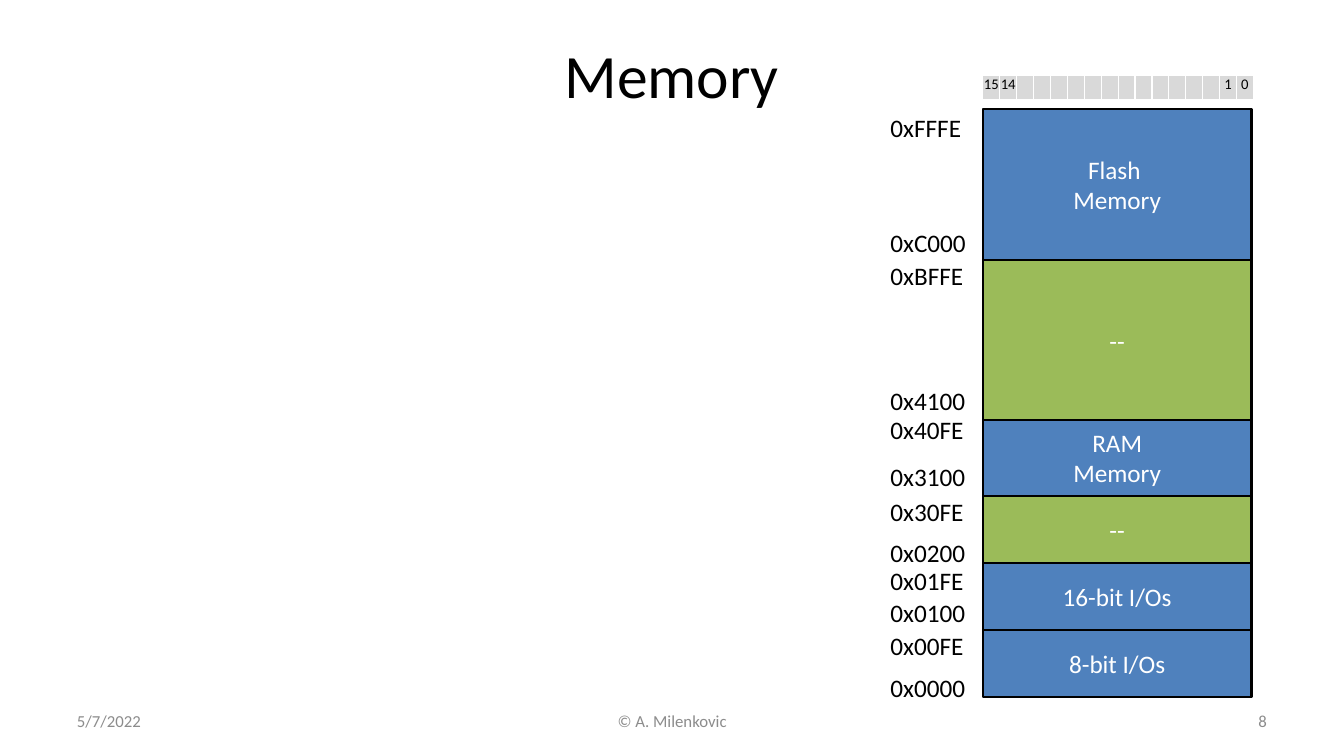
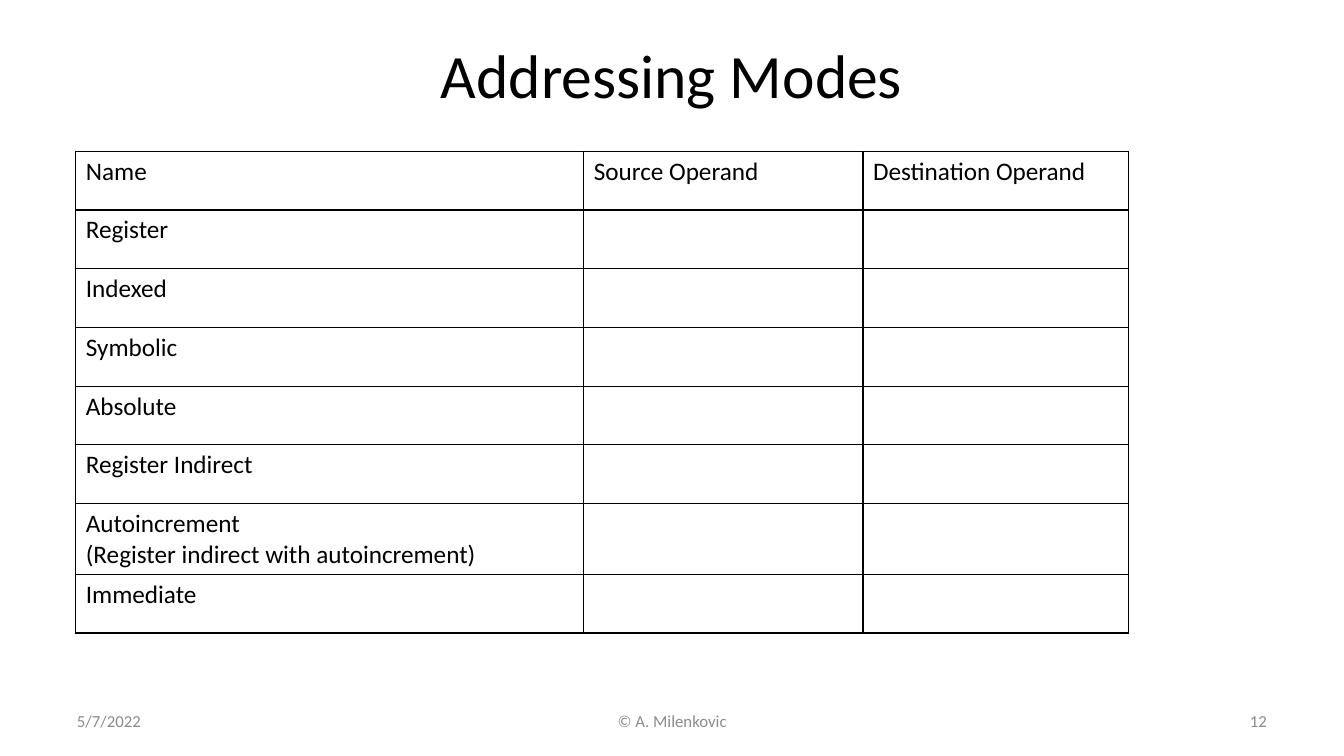
"""Build two lecture slides: a memory map and a table of addressing modes."""
from lxml.etree import SubElement
from pptx import Presentation
from pptx.dml.color import RGBColor
from pptx.enum.shapes import MSO_SHAPE as Shape
from pptx.enum.text import MSO_ANCHOR as Anchor, MSO_AUTO_SIZE as AutoSize, PP_ALIGN as Align
from pptx.oxml.ns import qn
from pptx.util import Cm, Pt

BLACK = RGBColor(0x00, 0x00, 0x00)
WHITE = RGBColor(0xFF, 0xFF, 0xFF)
GRAY = RGBColor(0x8C, 0x8C, 0x8C)
LIGHT = RGBColor(0xD9, 0xD9, 0xD9)
BLUE = RGBColor(0x4F, 0x81, 0xBD)
GREEN = RGBColor(0x9B, 0xBB, 0x59)


def write(frame, text, size=18, color=BLACK, align=Align.LEFT, anchor=Anchor.TOP, inset=None):
    """Put formatted text into a text frame."""
    frame.word_wrap = True
    frame.vertical_anchor = anchor
    if inset is not None:
        frame.margin_left = frame.margin_right = inset
        frame.margin_top = frame.margin_bottom = inset
    para = frame.paragraphs[0]
    para.text = text
    para.alignment = align
    for span in para.runs:
        span.font.name = "Calibri"
        span.font.size = Pt(size)
        span.font.color.rgb = color
    if not text:
        SubElement(para._p, qn("a:endParaRPr"), sz=str(int(size * 100)))


def set_borders(cell, color, width, bottom):
    """Draw the four borders of a table cell beneath its fill."""
    props = cell._tc.get_or_add_tcPr()
    for index, side in enumerate(("lnL", "lnR", "lnT", "lnB")):
        points = bottom if side == "lnB" else width
        line = SubElement(props, qn(f"a:{side}"), w=str(Pt(points)))
        paint = SubElement(line, qn("a:solidFill"))
        SubElement(paint, qn("a:srgbClr"), val=str(color))
        props.insert(index, line)


deck = Presentation()
deck.slide_width, deck.slide_height = Cm(33.87), Cm(19.05)
layout = deck.slide_layouts.get_by_name("Title Only")
heading = layout.placeholders[0]
heading.left, heading.top, heading.width, heading.height = Cm(1.69), Cm(0.76), Cm(30.48), Cm(2.22)

pages = []
for title, number in (("Memory", "8"), ("Addressing Modes", "12")):
    page = deck.slides.add_slide(layout)
    pages.append(page)
    write(page.shapes.title.text_frame, title, size=44, align=Align.CENTER, anchor=Anchor.MIDDLE)
    for text, left, width, align in (
        ("5/7/2022", 1.69, 7.9, Align.LEFT),
        ("© A. Milenkovic", 11.58, 10.72, Align.CENTER),
        (number, 24.28, 7.9, Align.RIGHT),
    ):
        box = page.shapes.add_textbox(Cm(left), Cm(17.65), Cm(width), Cm(1.02))
        write(box.text_frame, text, size=12, color=GRAY, align=align, anchor=Anchor.MIDDLE)
memory_page, modes_page = pages

MAP_LEFT = Cm(24.77)
REGIONS = (
    ("Flash \nMemory", BLUE, 3.81, (("0xFFFE", 2.82), ("0xC000", 5.72))),
    ("--", GREEN, 4.02, (("0xBFFE", 6.55), ("0x4100", 9.7))),
    ("RAM\nMemory", BLUE, 1.91, (("0x40FE", 10.44), ("0x3100", 11.63))),
    ("--", GREEN, 1.69, (("0x30FE", 12.5), ("0x0200", 13.54))),
    ("16-bit I/Os", BLUE, 1.69, (("0x01FE", 14.25), ("0x0100", 15.04))),
    ("8-bit I/Os", BLUE, 1.69, (("0x00FE", 15.88), ("0x0000", 16.94))),
)
region_top = Cm(2.75)
for name, color, height, addresses in REGIONS:
    region = memory_page.shapes.add_shape(
        Shape.RECTANGLE, MAP_LEFT, region_top, Cm(6.77), Cm(height))
    region.shadow.inherit = False
    region.fill.solid()
    region.fill.fore_color.rgb = color
    region.line.color.rgb = BLACK
    region.line.width = Pt(1.5)
    write(region.text_frame, name, color=WHITE, align=Align.CENTER, anchor=Anchor.MIDDLE)
    region_top += Cm(height)
    for address, top in addresses:
        label = memory_page.shapes.add_textbox(Cm(22.44), Cm(top), Cm(2.33), Cm(0.77))
        write(label.text_frame, address, inset=0)
        label.text_frame.auto_size = AutoSize.SHAPE_TO_FIT_TEXT

BITS = ["15", "14"] + [""] * 12 + ["1", "0"]
bit_table = memory_page.shapes.add_table(
    1, len(BITS), MAP_LEFT, Cm(1.9), Cm(6.83), Cm(0.64)).table
bit_table.first_row = bit_table.horz_banding = False
for column, bit in enumerate(BITS):
    bit_table.columns[column].width = Cm(6.83) // len(BITS)
    cell = bit_table.cell(0, column)
    cell.margin_left = cell.margin_right = cell.margin_top = cell.margin_bottom = 0
    cell.fill.solid()
    cell.fill.fore_color.rgb = LIGHT
    write(cell.text_frame, bit, size=10.5, align=Align.CENTER)
    set_borders(cell, WHITE, width=1, bottom=3)

MODES = (
    ("Name", "Source Operand", "Destination Operand"),
    ("Register", "", ""),
    ("Indexed", "", ""),
    ("Symbolic", "", ""),
    ("Absolute", "", ""),
    ("Register Indirect", "", ""),
    ("Autoincrement\n(Register indirect with autoincrement)", "", ""),
    ("Immediate", "", ""),
)
WIDTHS = (12.8, 7.04, 6.69)
mode_table = modes_page.shapes.add_table(
    len(MODES), len(WIDTHS), Cm(1.91), Cm(3.81), Cm(sum(WIDTHS)), Cm(1.48 * len(MODES))).table
mode_table.first_row = mode_table.horz_banding = False
for column, width in enumerate(WIDTHS):
    mode_table.columns[column].width = Cm(width)
for row, texts in enumerate(MODES):
    mode_table.rows[row].height = Cm(1.48)
    for column, text in enumerate(texts):
        cell = mode_table.cell(row, column)
        cell.fill.background()
        write(cell.text_frame, text)
        set_borders(cell, BLACK, width=1, bottom=1)

deck.save("out.pptx")
